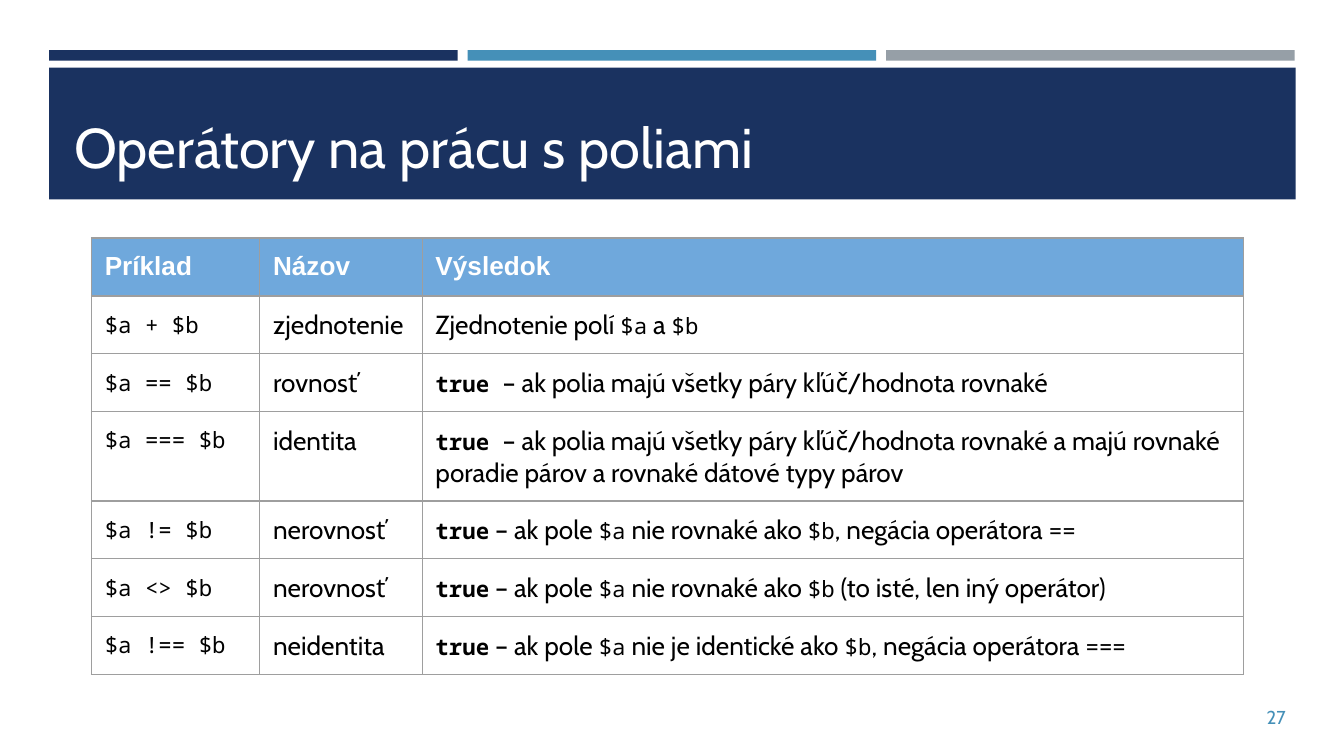
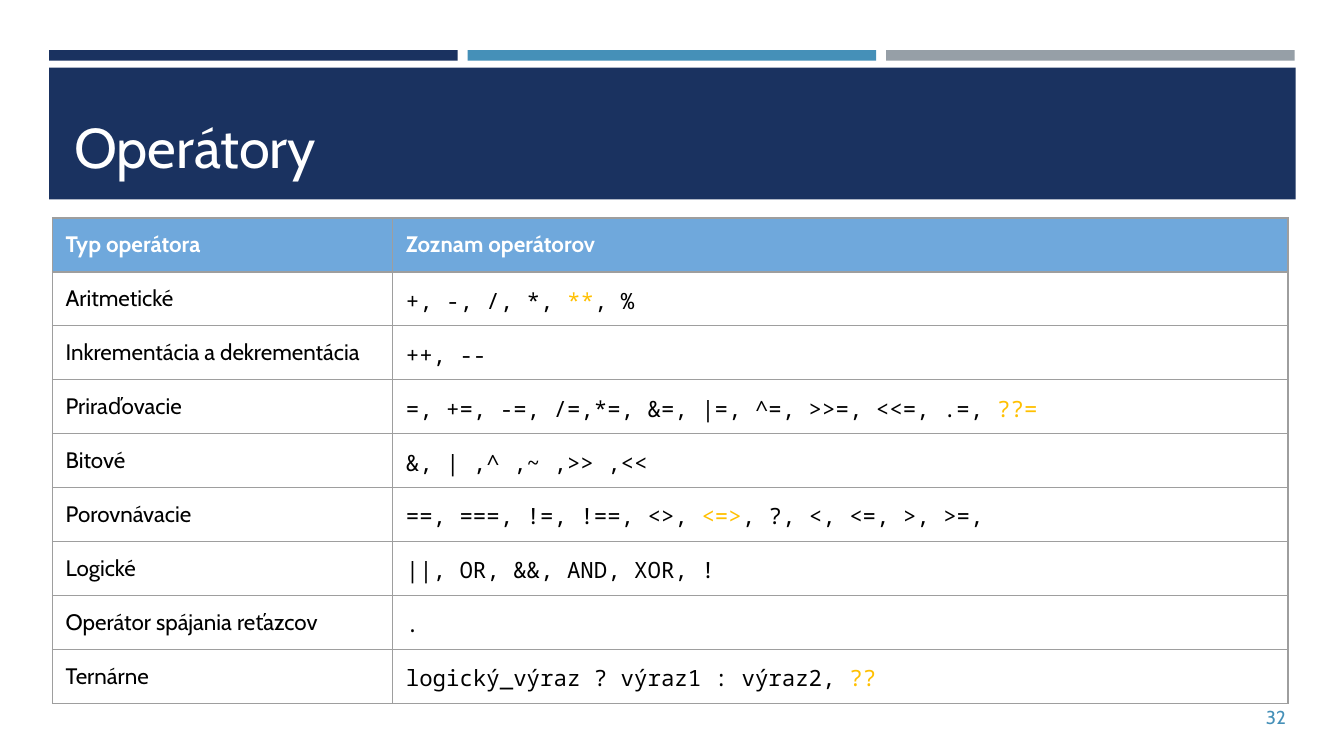
from lxml.etree import SubElement
from pptx import Presentation
from pptx.dml.color import RGBColor
from pptx.enum.shapes import MSO_SHAPE
from pptx.enum.text import MSO_ANCHOR, MSO_AUTO_SIZE, PP_ALIGN
from pptx.oxml.ns import qn
from pptx.util import Cm, Pt

NAVY = RGBColor(0x1A, 0x32, 0x60)
BLUE = RGBColor(0x45, 0x90, 0xB8)
GREY = RGBColor(0x96, 0x9F, 0xA7)
HEADER_BLUE = RGBColor(0x6F, 0xA8, 0xDC)
BORDER_GREY = RGBColor(0x9E, 0x9E, 0x9E)
YELLOW = RGBColor(0xFF, 0xC0, 0x00)
BLACK = RGBColor(0, 0, 0)
WHITE = RGBColor(0xFF, 0xFF, 0xFF)

# Text styles: font, size, colour, bold
MONO = "Noto Sans Mono"
TITLE = ("Cabin", 30, WHITE, False)
NUMBER = ("Cabin", 10, BLUE, False)
ARIAL_HEADER = ("Arial", 14, WHITE, True)
CABIN_HEADER = ("Cabin", 12, WHITE, True)
TEXT = ("Cabin", 14, BLACK, False)
SMALL_TEXT = ("Cabin", 12, BLACK, False)
CODE = (MONO, 12, BLACK, False)
STRONG = (MONO, 12, BLACK, True)
NEW = (MONO, 12, YELLOW, False)

# Content: a cell is a string, or a list of strings and (text, style) pairs
A, B, TRUE = ("$a", CODE), ("$b", CODE), ("true", STRONG)
TRUE_SPACED = ("true ", STRONG)

array_operators = [
    ["Príklad", "Názov", "Výsledok"],
    ["$a + $b", "zjednotenie", ["Zjednotenie polí ", A, " a ", B]],
    ["$a == $b", "rovnosť",
     [TRUE_SPACED, "– ak polia majú všetky páry kľúč/hodnota rovnaké"]],
    ["$a === $b", "identita",
     [TRUE_SPACED, "– ak polia majú všetky páry kľúč/hodnota rovnaké a majú "
                   "rovnaké poradie párov a rovnaké dátové typy párov"]],
    ["$a != $b", "nerovnosť",
     [TRUE, " – ak pole ", A, " nie rovnaké ako ", B,
      ", negácia operátora ", ("==", CODE)]],
    ["$a <> $b", "nerovnosť",
     [TRUE, " – ak pole ", A, " nie rovnaké ako ", B,
      " (to isté, len iný operátor)"]],
    ["$a !== $b", "neidentita",
     [TRUE, " – ak pole ", A, " nie je identické ako ", B,
      ", negácia operátora ", ("===", CODE)]],
]

operator_types = [
    ["Typ operátora", "Zoznam operátorov"],
    ["Aritmetické", ["+, -, /, *, ", ("**", NEW), ", %"]],
    ["Inkrementácia a dekrementácia", "++, --"],
    ["Priraďovacie",
     ["=, +=, -=, /=,*=, &=, |=, ^=, >>=, <<=, .=, ", ("??=", NEW)]],
    ["Bitové", "&, | ,^ ,~ ,>> ,<<"],
    ["Porovnávacie",
     ["==, ===, !=, !==, <>, ", ("<=>", NEW), ", ?, <, <=, >, >=,"]],
    ["Logické", "||, OR, &&, AND, XOR, !"],
    ["Operátor spájania reťazcov", "."],
    ["Ternárne", ["logický_výraz ? výraz1 : výraz2, ", ("??", NEW)]],
]

# Title, number, rows, left, top, column widths, row height, header and column styles
pages = [
    ("Operátory na prácu s poliami", "27", array_operators, 1.73, 4.5,
     [3.18, 3.07, 15.52], 1.07, ARIAL_HEADER, [CODE, TEXT, TEXT]),
    ("Operátory", "32", operator_types, 0.99, 4.12,
     [6.43, 16.92], 1.02, CABIN_HEADER, [SMALL_TEXT, CODE]),
]


def write(frame, content, style):
    """Fill the first paragraph; strings take the given style."""
    paragraph = frame.paragraphs[0]
    pieces = [content] if isinstance(content, str) else content
    for piece in pieces:
        text, look = (piece, style) if isinstance(piece, str) else piece
        run = paragraph.add_run()
        run.text = text
        font = paragraph.font if len(pieces) == 1 else run.font
        font.name, font.size, font.bold = look[0], Pt(look[1]), look[3]
        font.color.rgb = look[2]
    return paragraph


def set_insets(frame, horizontal, vertical):
    frame.margin_left = frame.margin_right = Cm(horizontal)
    frame.margin_top = frame.margin_bottom = Cm(vertical)


prs = Presentation()
prs.slide_width, prs.slide_height = Cm(25.4), Cm(14.29)
layout = prs.slide_layouts[5]

# Bands: three stripes and the title band
bands = [(0.93 + 7.91 * i, 0.95, 7.72, 0.2, colour)
         for i, colour in enumerate([NAVY, BLUE, GREY])]
bands.append((0.93, 1.28, 23.56, 2.49, NAVY))

for title, number, rows, left, top, widths, row_height, header, styles in pages:
    slide = prs.slides.add_slide(layout)

    for x, y, width, height, colour in bands:
        band = slide.shapes.add_shape(
            MSO_SHAPE.RECTANGLE, Cm(x), Cm(y), Cm(width), Cm(height))
        band.shadow.inherit = False
        band.fill.solid()
        band.fill.fore_color.rgb = colour
        band.line.fill.background()

    # Title, brought in front of its band
    heading = slide.shapes.title
    heading.left, heading.top = Cm(1.22), Cm(1.47)
    heading.width, heading.height = Cm(22.99), Cm(2.11)
    frame = heading.text_frame
    frame.word_wrap = True
    frame.auto_size = MSO_AUTO_SIZE.NONE
    frame.vertical_anchor = MSO_ANCHOR.BOTTOM
    set_insets(frame, 0.18, 0.18)
    write(frame, title, TITLE).alignment = PP_ALIGN.LEFT
    slide.shapes._spTree.append(heading._element)

    # Page number
    page_number = slide.shapes.add_textbox(Cm(23.62), Cm(13.18), Cm(0.86), Cm(0.76))
    frame = page_number.text_frame
    frame.word_wrap = True
    frame.vertical_anchor = MSO_ANCHOR.MIDDLE
    set_insets(frame, 0.18, 0.1)
    write(frame, number, NUMBER).alignment = PP_ALIGN.RIGHT

    # Table of operators
    table = slide.shapes.add_table(
        len(rows), len(widths), Cm(left), Cm(top),
        Cm(sum(widths)), Cm(row_height * len(rows))).table
    table.horz_banding = False
    for column, width in zip(table.columns, widths):
        column.width = Cm(width)
    for r, row in enumerate(rows):
        table.rows[r].height = Cm(row_height)
        for c, content in enumerate(row):
            cell = table.cell(r, c)
            set_insets(cell, 0.25, 0.25)
            write(cell.text_frame, content, styles[c] if r else header)
            properties = cell._tc.get_or_add_tcPr()
            for side in ("a:lnL", "a:lnR", "a:lnT", "a:lnB"):
                border = SubElement(properties, qn(side), w=str(Pt(0.75)))
                fill = SubElement(border, qn("a:solidFill"))
                SubElement(fill, qn("a:srgbClr"), val=str(BORDER_GREY))
            if r:
                cell.fill.background()
            else:
                cell.fill.solid()
                cell.fill.fore_color.rgb = HEADER_BLUE

prs.save("out.pptx")
